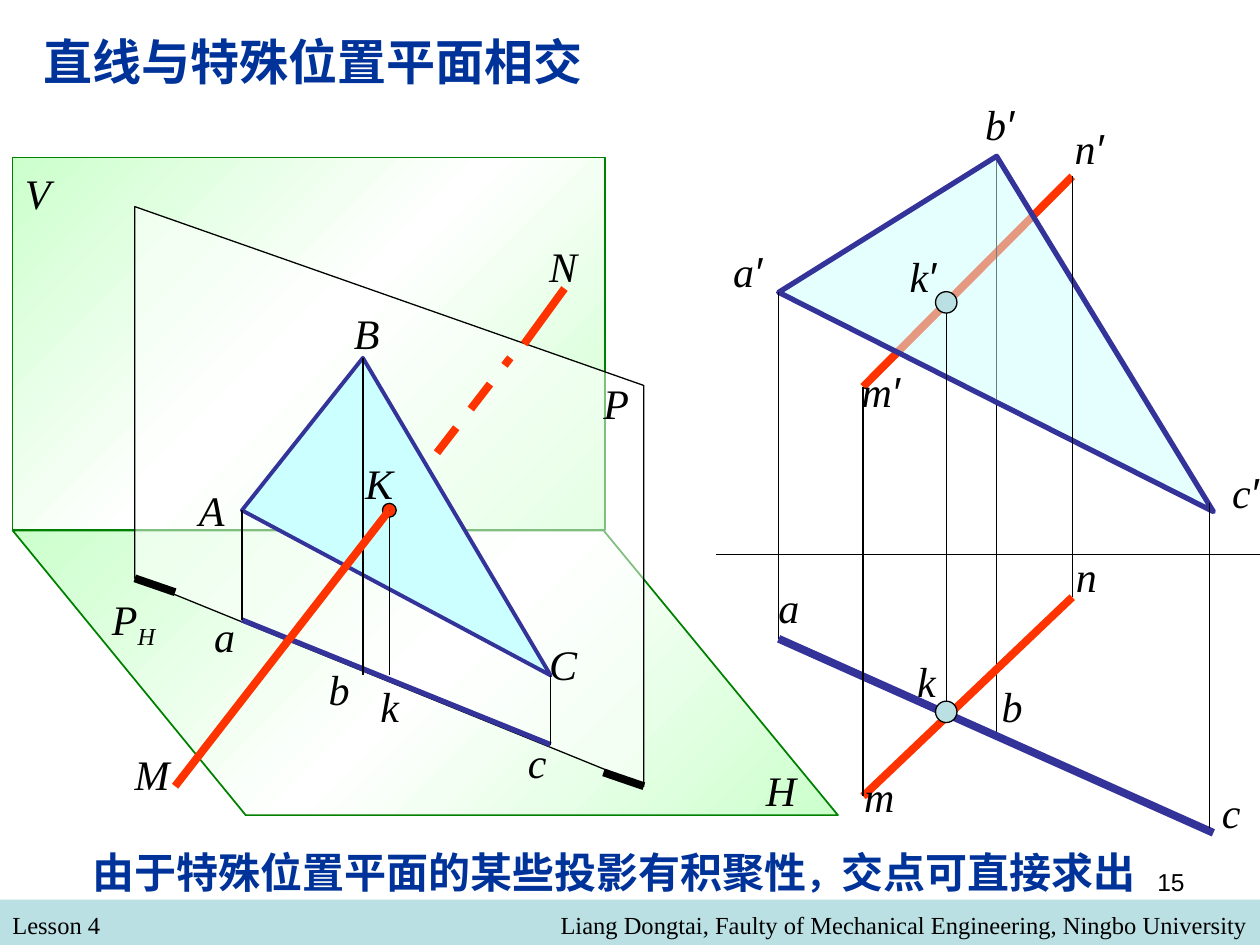
from copy import deepcopy

from lxml import etree
from pptx import Presentation
from pptx.dml.color import RGBColor
from pptx.enum import dml, shapes, text
from pptx.oxml.ns import qn
from pptx.util import Inches, Pt

BLACK, WHITE = RGBColor(0, 0, 0), RGBColor(0xFF, 0xFF, 0xFF)
NAVY, INDIGO = RGBColor(0, 0x33, 0x99), RGBColor(0x33, 0x33, 0x99)
RED, GREEN = RGBColor(0xFF, 0x33, 0), RGBColor(0, 0x80, 0)
MINT, CYAN = RGBColor(0xCC, 0xFF, 0xCC), RGBColor(0xCC, 0xFF, 0xFF)
TEAL = RGBColor(0xBB, 0xE0, 0xE3)
SERIF, SANS = "Times New Roman", "Arial"
THIN = 0.75
LEFT, CENTER, RIGHT = text.PP_ALIGN.LEFT, text.PP_ALIGN.CENTER, text.PP_ALIGN.RIGHT

# Wording: box, alignment, wrap, runs of (text, size, font, colour, bold)
TITLE = ((0.25, 0.2, 4.47, 0.57), LEFT, False,
         [("直线与特殊位置平面相交", 28, SANS, NAVY, True)])
CONCLUSION = ((0.33, 6.67, 9.08, 0.5), CENTER, True,
              [("由于特殊位置平面的某些投影有积聚性", 24, SERIF, NAVY, True),
               ("，", 20, SERIF, NAVY, True),
               ("交点可直接求出", 24, SERIF, NAVY, True)])
PAGE = ((7.17, 6.83, 2.33, 0.52), RIGHT, True, [("15", 14, SANS, BLACK, False)])
LESSON = ((0, 7.17, 4.83, 0.34), LEFT, True,
          [("Lesson 4", 14, SERIF, BLACK, False)])
AUTHOR = ((1.83, 7.17, 8.17, 0.34), RIGHT, True,
          [("Liang Dongtai, Faulty of Mechanical Engineering, Ningbo University",
            14, SERIF, BLACK, False)])

# Points of the two-view drawing (front view primed, top view plain)
VIEWS = {"a′": (6.18, 2.32), "b′": (7.91, 1.24), "c′": (9.63, 4.06),
         "m′": (6.85, 3.07), "n′": (8.51, 1.4), "k′": (7.51, 2.4),
         "a": (6.18, 5.07), "b": (7.91, 5.82), "c": (9.63, 6.61),
         "m": (6.85, 6.32), "n": (8.51, 4.74), "k": (7.51, 5.65),
         "axis start": (5.68, 4.4), "axis end": (10, 4.4),
         "c top": (9.6, 3.99), "c foot": (9.6, 6.57)}
# Points of the spatial drawing
SPACE = {"A": (1.92, 4.05), "B": (2.88, 2.84), "C": (4.37, 5.36), "K": (3.09, 4.05),
         "a": (1.92, 4.92), "b": (2.88, 5.36), "c": (4.37, 5.91), "k": (3.09, 5.36),
         "M": (1.39, 6.24), "N": (4.48, 2.29),
         "hidden start": (3.2, 3.94), "hidden end": (4.05, 2.84),
         "visible again": (4.16, 2.73),
         "P1": (1.07, 4.59), "P2": (1.07, 1.64), "P3": (5.11, 3.06),
         "P4": (5.11, 6.24), "P5": (4.98, 6.18),
         "trace 1": (1.39, 4.7), "trace 2": (4.79, 6.13),
         "H1": (0.1, 4.21), "H2": (1.95, 6.47), "H3": (6.65, 6.47), "H4": (4.79, 4.21)}

# Segments: from, to, colour, width
FRONT_LINES = [("m′", "n′", RED, 4.5), ("b′", "b", BLACK, THIN),
               ("axis end", "axis start", BLACK, THIN), ("a", "c", INDIGO, 4.5)]
TOP_LINES = [("m", "n", RED, 4.5), ("n′", "n", BLACK, THIN), ("m", "m′", BLACK, THIN),
             ("a", "a′", BLACK, THIN), ("c foot", "c top", BLACK, THIN),
             ("k", "k′", BLACK, THIN)]
TRACES = [("P1", "trace 1", BLACK, 4.5), ("trace 2", "P4", BLACK, 4.5)]
HIDDEN = ("hidden start", "hidden end", RED, 4.5)
SPACE_LINES = [("a", "c", INDIGO, 3), ("a", "A", BLACK, THIN), ("c", "C", BLACK, THIN),
               ("B", "b", BLACK, THIN), ("K", "k", BLACK, THIN),
               ("visible again", "N", RED, 4.5), ("M", "K", RED, 4.5)]

# Letters: text, left, top, width
VIEW_LETTERS = [("b′", 7.72, 0.73, 1.13), ("b", 7.85, 5.35, 0.42), ("a′", 5.72, 1.9, 0.58),
                ("a", 6.08, 4.57, 0.43), ("c", 9.6, 6.19, 0.5), ("c′", 9.68, 3.65, 0.59),
                ("m′", 6.74, 2.85, 0.75), ("m", 6.76, 6.07, 0.43), ("n", 8.44, 4.32, 0.43),
                ("n′", 8.43, 0.92, 0.75), ("k", 7.18, 5.15, 0.33), ("k′", 7.12, 1.94, 0.58)]
SPACE_LETTERS = [("V", 0.1, 1.28, 0.46), ("H", 5.98, 6.02, 0.85), ("PH", 0.79, 4.66, 0.85),
                 ("P", 4.69, 2.95, 0.53), ("A", 1.48, 3.8, 0.85), ("B", 2.71, 2.39, 0.96),
                 ("C", 4.26, 5.02, 0.96), ("a", 1.6, 4.8, 0.85), ("c", 4.09, 5.8, 0.85),
                 ("b", 2.51, 5.22, 0.85), ("k", 2.92, 5.35, 0.85), ("N", 4.26, 1.86, 0.85),
                 ("K", 2.8, 3.58, 0.85), ("M", 0.97, 5.89, 0.85)]


def add_run(paragraph, words, **formats):
    run = paragraph.add_run()
    run.text = words
    color = formats.pop("color", BLACK)
    for name, value in formats.items():
        setattr(run.font, name, value)
    run.font.color.rgb = color
    return run


def add_box(parent, box, align=LEFT, wrap=True):
    frame = parent.add_textbox(*map(Inches, box)).text_frame
    frame.word_wrap = wrap
    frame.paragraphs[0].alignment = align
    return frame.paragraphs[0]


def add_words(parent, box, align, wrap, runs):
    paragraph = add_box(parent, box, align, wrap)
    for words, size, font, color, bold in runs:
        add_run(paragraph, words, size=Pt(size), name=font, color=color, bold=bold)


def add_letters(parent, letters):
    for label, left, top, width in letters:
        paragraph = add_box(parent, (left, top, width, 0.5))
        for sign in label:
            run = add_run(paragraph, sign, size=Pt(24), italic=True,
                          name=SANS if sign == "′" else SERIF)
        if label == "PH":
            run.font._element.set("baseline", "-25000")


def add_segments(parent, points, segments, dash=None):
    for start, end, color, width in segments:
        ends = [Inches(v) for v in points[start] + points[end]]
        segment = parent.add_connector(shapes.MSO_CONNECTOR.STRAIGHT, *ends)
        segment.line.color.rgb, segment.line.width = color, Pt(width)
        segment.line.dash_style = dash
        etree.SubElement(segment._element.spPr, qn("a:effectLst"))


def paint(shape, fill, line=None, width=THIN, opacity=100):
    shape.shadow.inherit = False
    shape.fill.solid()
    shape.fill.fore_color.rgb = fill
    if opacity < 100:
        color = shape._element.spPr.find(qn("a:solidFill"))[0]
        etree.SubElement(color, qn("a:alpha"), val=str(opacity * 1000))
    if line is None:
        shape.line.fill.background()
    else:
        shape.line.color.rgb, shape.line.width = line, Pt(width)


def shade(shape):
    """Mint to white to mint, along the falling diagonal."""
    paint(shape, MINT, GREEN, 1)
    shape.fill.gradient()
    shape.fill.gradient_angle = 315
    stops = shape._element.spPr.find(qn("a:gradFill")).find(qn("a:gsLst"))
    stops.insert(1, deepcopy(stops[0]))
    for stop, place, color in zip(shape.fill.gradient_stops, (0, 0.5, 1), (MINT, WHITE, MINT)):
        stop.position, stop.color.rgb = place, color


def add_polygon(parent, points, names):
    corners = [tuple(map(Inches, points[name])) for name in names]
    builder = parent.build_freeform(*corners[0])
    builder.add_line_segments(corners[1:], close=True)
    return builder.convert_to_shape()


def add_dot(parent, center, size, fill):
    x, y = center
    box = (x - size / 2, y - size / 2, size, size)
    paint(parent.add_shape(shapes.MSO_SHAPE.OVAL, *map(Inches, box)), fill, BLACK)


prs = Presentation()
prs.slide_width, prs.slide_height = Inches(10), Inches(7.5)
slide = prs.slides.add_slide(prs.slide_layouts[6])
canvas = slide.shapes

# Footer
band = canvas.add_shape(shapes.MSO_SHAPE.RECTANGLE, *map(Inches, (0, 7.14, 10, 0.36)))
paint(band, TEAL)
for words in (LESSON, AUTHOR, PAGE):
    add_words(canvas, *words)

# Two-view drawing
views = canvas.add_group_shape().shapes
add_segments(views, VIEWS, FRONT_LINES)
paint(add_polygon(views, VIEWS, ("a′", "b′", "c′")), CYAN, INDIGO, 3, opacity=50)
add_segments(views, VIEWS, TOP_LINES)
for name in ("k", "k′"):
    add_dot(views, VIEWS[name], 0.17, TEAL)
add_letters(views, VIEW_LETTERS)

# Spatial drawing
space = canvas.add_group_shape().shapes
shade(space.add_shape(shapes.MSO_SHAPE.RECTANGLE, *map(Inches, (0.1, 1.25, 4.7, 2.96))))
shade(add_polygon(space, SPACE, ("H1", "H2", "H3", "H4")))
paint(add_polygon(space, SPACE, ("P5", "P1", "P2", "P3", "P4")), WHITE, BLACK, opacity=50)
add_segments(space, SPACE, TRACES)
add_segments(space, SPACE, [HIDDEN], dml.MSO_LINE.DASH)
paint(add_polygon(space, SPACE, "ACB"), CYAN, INDIGO, 2.25)
add_dot(space, SPACE["K"], 0.11, RED)
add_segments(space, SPACE, SPACE_LINES)
add_letters(space, SPACE_LETTERS)

# Title and conclusion
for words in (CONCLUSION, TITLE):
    add_words(canvas, *words)

prs.save("out.pptx")
